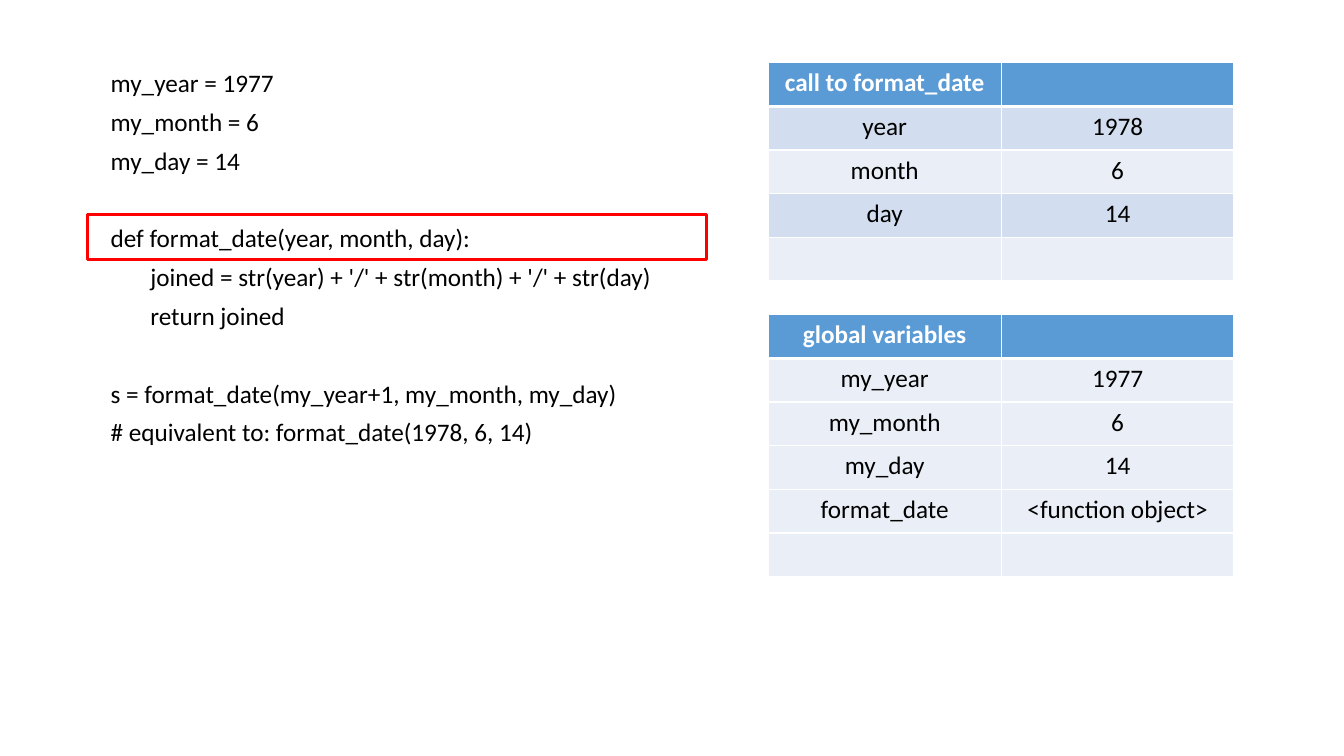
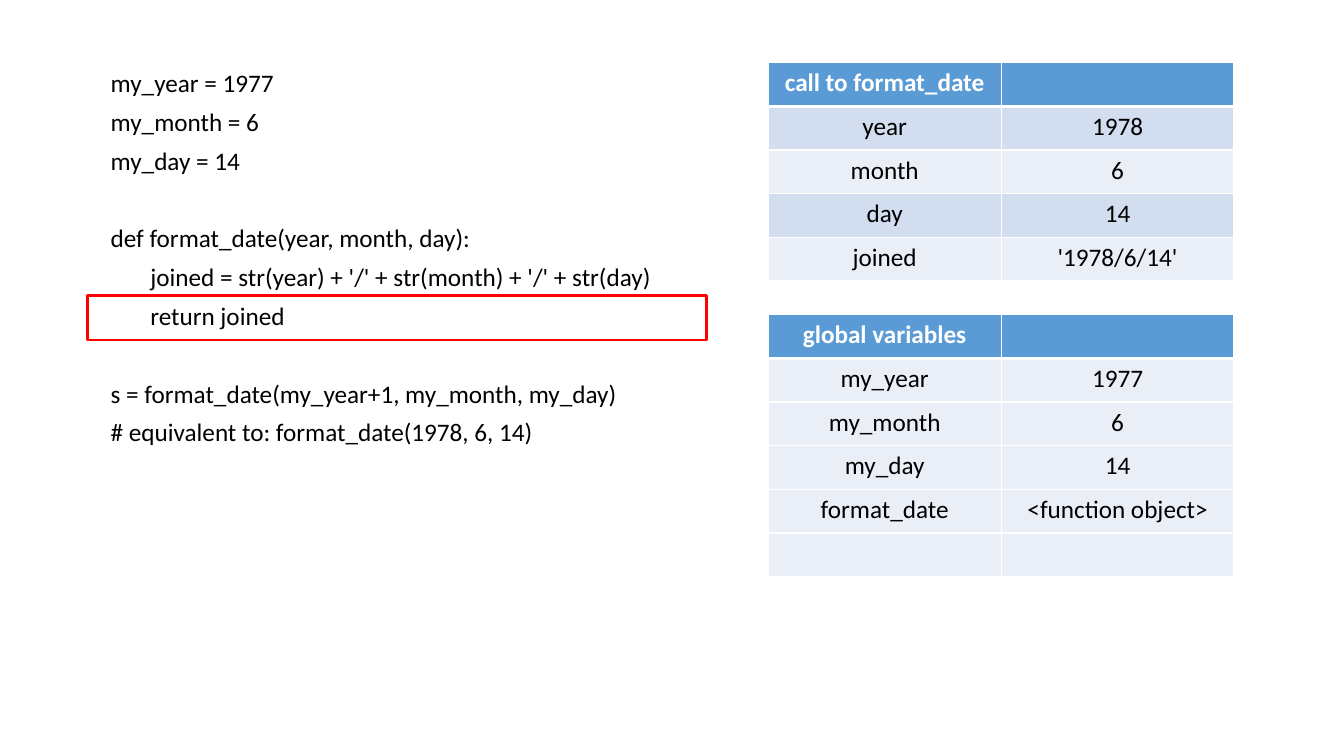
from lxml import etree
from pptx import Presentation
from pptx import util as u
from pptx.dml.color import RGBColor
from pptx.enum import shapes, text
from pptx.oxml import ns

CODE = [
    (0, ["my_year = 1977", "my_month = 6", "my_day = 14"]),
    (0, ["def format_date(year, month, day):"]),
    (1, ["joined = str(year) + '/' + str(month) + '/' + str(day)",
         "return joined"]),
    (0, ["s = format_date(my_year+1, my_month, my_day)",
         "# equivalent to: format_date(1978, 6, 14)"]),
]
GAPS = {"my_day = 14", "return joined"}
GLOBAL = [("global variables", ""), ("my_year", "1977"), ("my_month", "6"),
          ("my_day", "14"), ("format_date", "<function object>"), ("", "")]
CALL = [("call to format_date", ""), ("year", "1978"), ("month", "6"),
        ("day", "14")]
STEPS = [
    {"mark": 5.41, "last": ("", "")},
    {"mark": 7.44, "last": ("joined", "'1978/6/14'")},
]
FONT, SIZE = "Calibri", 18
BLACK, WHITE, RED = "000000", "FFFFFF", "FF0000"
HEAD, DARK, LIGHT = "5B9BD5", "D2DEEF", "EAEFF7"
TOP, LEFT, RIGHT = 1.58, 2.54, 19.36
COL, ROW = 5.87, 1.1
AFTER, LINE = 6, 28


def paint(part, tone):
    part.solid()
    part.fore_color.rgb = RGBColor.from_string(tone)


def style(para, tone=BLACK, bold=False):
    for run in para.runs:
        run.font.name = FONT
        run.font.size = u.Pt(SIZE)
        run.font.bold = bold
        paint(run.font.fill, tone)


def add_code(slide):
    box = slide.shapes.add_textbox(u.Cm(LEFT), u.Cm(TOP), u.Cm(14.33), u.Cm(9.88))
    frame = box.text_frame
    frame.word_wrap = True
    lines = [(depth, line) for depth, group in CODE for line in group]
    frame.text = "\n".join(line for _, line in lines)
    for para, (depth, line) in zip(frame.paragraphs, lines):
        para.space_after = u.Pt(AFTER + LINE * (line in GAPS))
        para._p.get_or_add_pPr().set("marL", str(u.Cm(depth)))
        style(para)


def add_edges(cell, row):
    props = cell._tc.get_or_add_tcPr()
    thick = {"T": row == 1, "B": row == 0}
    for side in "LRTB":
        width = u.Pt(3 if thick.get(side) else 1)
        edge = etree.SubElement(props, ns.qn("a:ln" + side), w=str(width))
        fill = etree.SubElement(edge, ns.qn("a:solidFill"))
        etree.SubElement(fill, ns.qn("a:srgbClr"), val=WHITE)


def add_grid(slide, top, rows, band):
    table = slide.shapes.add_table(
        len(rows), 2, u.Cm(RIGHT), u.Cm(top),
        u.Cm(2 * COL), u.Cm(ROW * len(rows))).table
    for i, row in enumerate(rows):
        table.rows[i].height = u.Cm(ROW)
        tone = HEAD if i == 0 else band if i % 2 else LIGHT
        for j, word in enumerate(row):
            cell = table.cell(i, j)
            add_edges(cell, i)
            paint(cell.fill, tone)
            cell.text = word
            para = cell.text_frame.paragraphs[0]
            para.alignment = text.PP_ALIGN.CENTER
            style(para, BLACK if i else WHITE, i == 0)


def add_mark(slide, top):
    mark = slide.shapes.add_shape(
        shapes.MSO_SHAPE.RECTANGLE, u.Cm(2.2), u.Cm(top), u.Cm(15.6), u.Cm(1.13))
    mark.shadow.inherit = False
    mark.fill.background()
    paint(mark.line.fill, RED)
    mark.line.width = u.Pt(2)


deck = Presentation()
deck.slide_width, deck.slide_height = u.Cm(33.87), u.Cm(19.05)
for step in STEPS:
    slide = deck.slides.add_slide(deck.slide_layouts[6])
    add_code(slide)
    add_grid(slide, 7.93, GLOBAL, LIGHT)
    add_mark(slide, step["mark"])
    add_grid(slide, TOP, CALL + [step["last"]], DARK)
deck.save("out.pptx")
